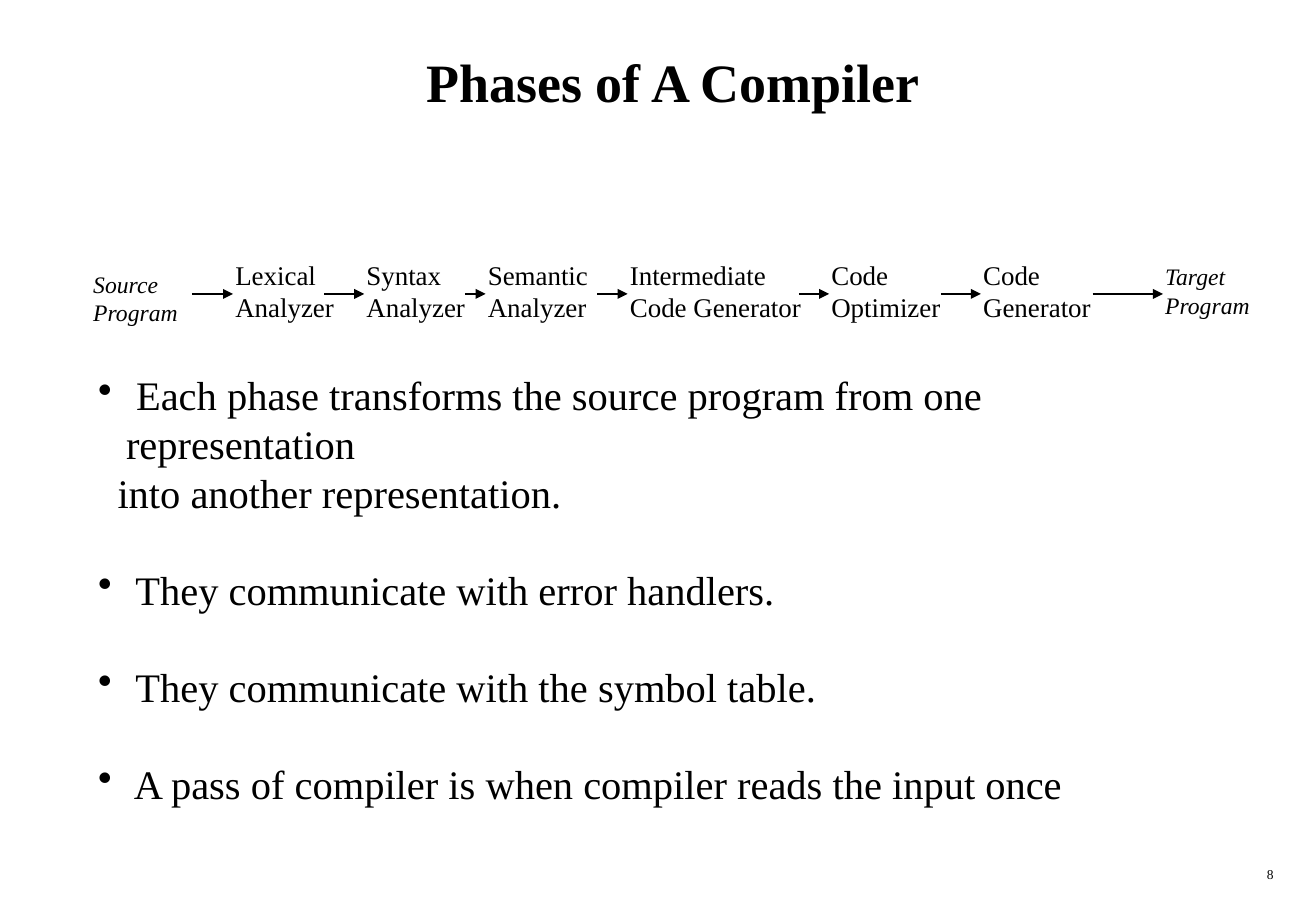
"""Build the slide on the phases of a compiler."""
from lxml.etree import SubElement
from pptx import Presentation
from pptx.dml.color import RGBColor
from pptx.enum.shapes import MSO_CONNECTOR
from pptx.enum.text import MSO_ANCHOR, PP_ALIGN
from pptx.oxml.ns import qn
from pptx.util import Inches, Pt

FONT = "Times New Roman"
INK = "000000"
TITLE = "Phases of A Compiler"
PAGE_NUMBER = "8"

# left, top, width, height, lines, size, italic, start of the arrow that leaves
STAGES = [
    (0.67, 2.17, 0.9, 0.57, "Source\nProgram", 14, True, 1.58),
    (1.84, 2.08, 1.01, 0.64, "Lexical\nAnalyzer", 16, False, 2.67),
    (2.92, 2.08, 1.01, 0.64, "Syntax\nAnalyzer", 16, False, 3.83),
    (3.92, 2.08, 1.08, 0.64, "Semantic\nAnalyzer", 16, False, 4.92),
    (5.09, 2.08, 1.61, 0.64, "Intermediate\nCode Generator", 16, False, 6.58),
    (6.75, 2.08, 1.1, 0.64, "Code\nOptimizer", 16, False, 7.75),
    (8, 2.08, 1.25, 0.64, "Code\nGenerator", 16, False, 9),
    (9.5, 2.11, 0.9, 0.57, "Target\nProgram", 14, True, None),
]
ARROW_Y = 2.42
ARROW_INSET = 0.08

# text, has a bullet
POINTS = [
    (" Each phase transforms the source program from one representation", True),
    ("into another representation.", False),
    (" They communicate with error handlers.", True),
    (" They communicate with the symbol table.", True),
    (" A pass of compiler is when compiler reads the input once", True),
]
POINT_SIZE = 24
LINE_RATIO = 1.2
BULLET_INDENT = 0.23
PLAIN_INDENT = 0.16


def color(hex_code):
    return RGBColor.from_string(hex_code)


def add_text(slide, box, text, size, bold=False, italic=False, align=PP_ALIGN.LEFT,
             anchor=MSO_ANCHOR.TOP, wrap=True):
    frame = slide.shapes.add_textbox(*map(Inches, box)).text_frame
    frame.text = text
    frame.word_wrap = wrap
    frame.vertical_anchor = anchor
    for paragraph in frame.paragraphs:
        paragraph.alignment = align
        for run in paragraph.runs:
            run.font.name = FONT
            run.font.size = Pt(size)
            run.font.bold = bold
            run.font.italic = italic
            run.font.color.rgb = color(INK)
    return frame


def add_arrow(slide, start, end, y):
    arrow = slide.shapes.add_connector(
        MSO_CONNECTOR.STRAIGHT, Inches(start), Inches(y), Inches(end), Inches(y))
    arrow.line.color.rgb = color(INK)
    arrow.line.width = Pt(0.75)
    SubElement(arrow.line._get_or_add_ln(), qn("a:tailEnd"), type="triangle")
    SubElement(arrow._element.spPr, qn("a:effectLst"))


def add_bullet(properties):
    bullet_color = SubElement(properties, qn("a:buClr"))
    SubElement(bullet_color, qn("a:srgbClr"), val=INK)
    SubElement(properties, qn("a:buChar"), char="•")


def add_points(slide):
    text = "\n".join(point for point, _ in POINTS)
    frame = add_text(slide, (0.71, 3, 9.42, 3.3), text, POINT_SIZE)
    line_height = Pt(POINT_SIZE * LINE_RATIO)
    for index, (paragraph, (_, bulleted)) in enumerate(zip(frame.paragraphs, POINTS)):
        paragraph.line_spacing = line_height
        if bulleted and index:
            paragraph.space_before = line_height
        properties = paragraph._p.get_or_add_pPr()
        indent = Inches(BULLET_INDENT if bulleted else PLAIN_INDENT)
        properties.set("marL", str(indent))
        if bulleted:
            properties.set("indent", str(-indent))
            add_bullet(properties)


def main():
    deck = Presentation()
    deck.slide_width, deck.slide_height = Inches(10.84), Inches(7.5)
    slide = deck.slides.add_slide(deck.slide_layouts[6])

    add_text(slide, (0.42, 0.17, 10.25, 1), TITLE, 32, bold=True,
             align=PP_ALIGN.CENTER, anchor=MSO_ANCHOR.MIDDLE)
    for left, top, width, height, label, size, italic, _ in STAGES:
        frame = add_text(slide, (left, top, width, height), label, size,
                         italic=italic, wrap=False)
        for paragraph in frame.paragraphs:
            paragraph.line_spacing = Pt(size * LINE_RATIO)
    for stage, following in zip(STAGES, STAGES[1:]):
        add_arrow(slide, stage[-1], following[0] + ARROW_INSET, ARROW_Y)
    add_points(slide)
    add_text(slide, (8.33, 7.08, 2.26, 0.25), PAGE_NUMBER, 8, align=PP_ALIGN.RIGHT)
    deck.save("out.pptx")


if __name__ == "__main__":
    main()
